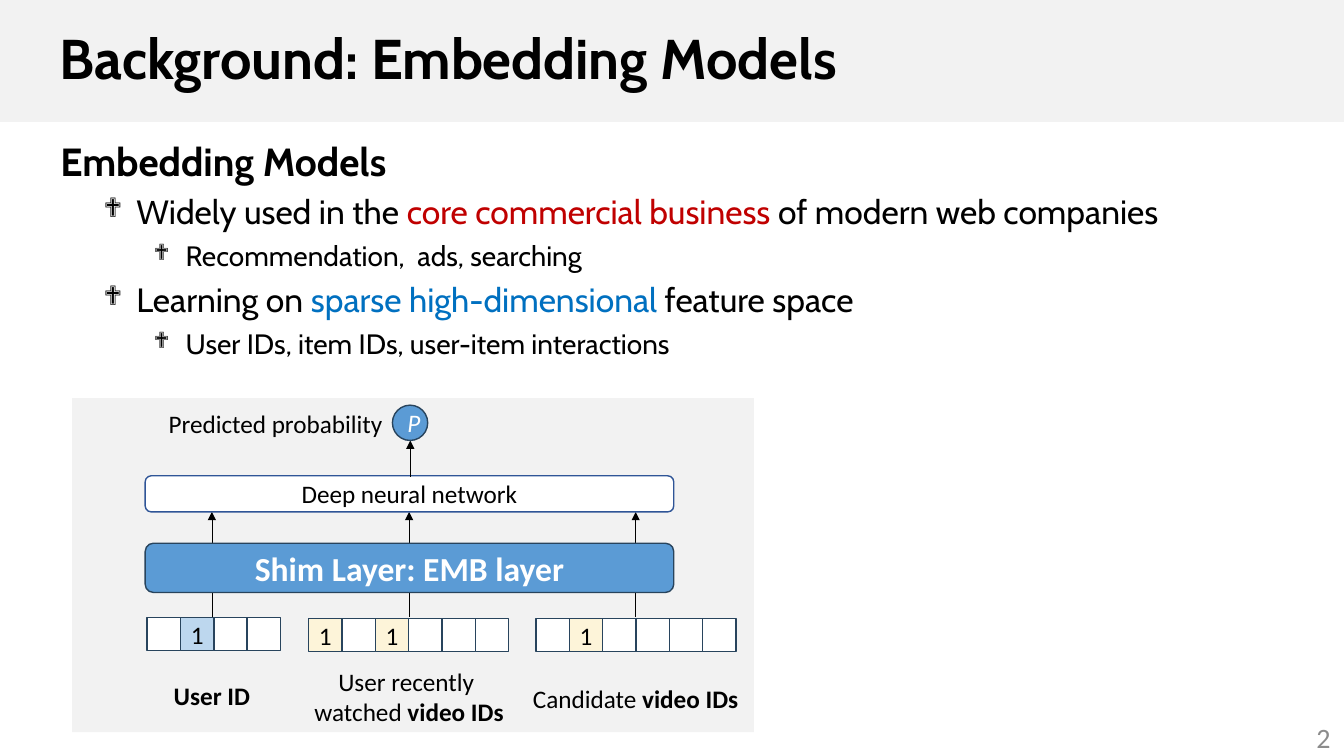
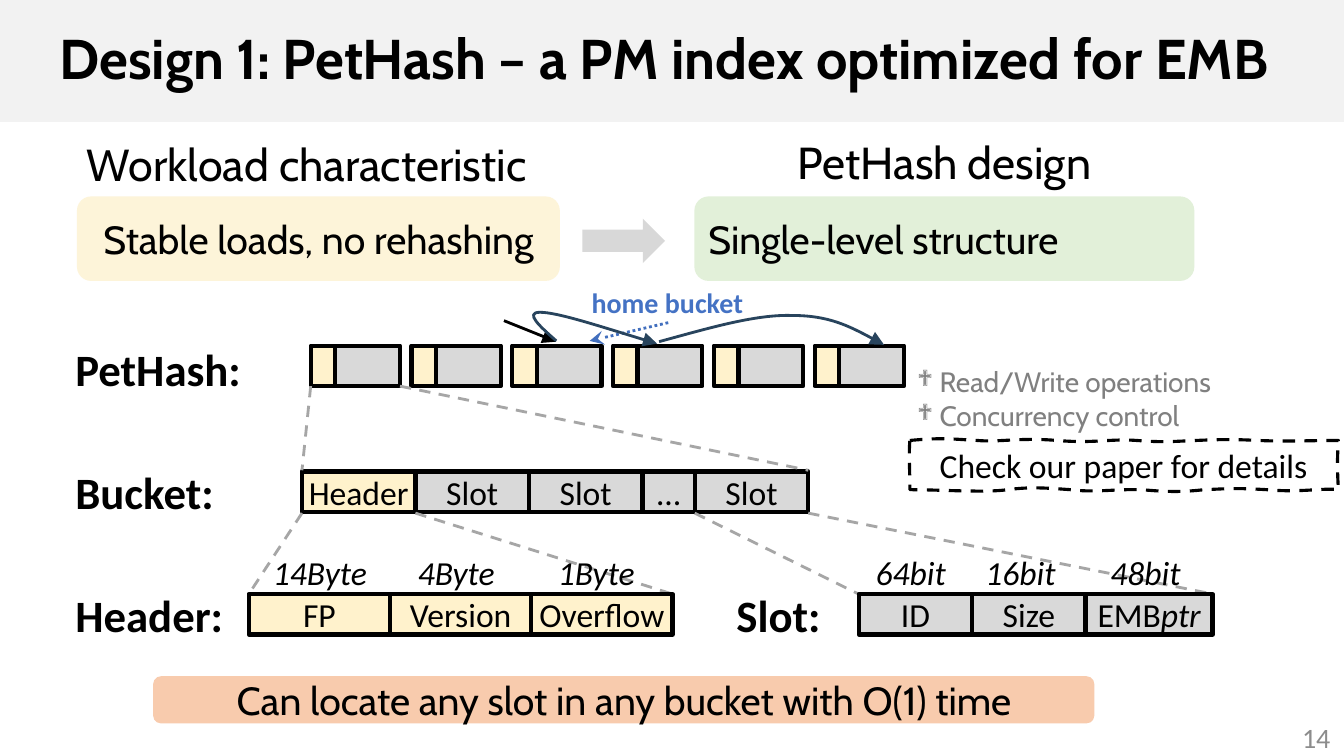
import pptx
import pptx.dml.color
import pptx.enum.dml
import pptx.enum.shapes
import pptx.enum.text
import pptx.oxml.ns
import pptx.util
from lxml import etree

Cm = pptx.util.Cm
Pt = pptx.util.Pt
qn = pptx.oxml.ns.qn
SHAPES = pptx.enum.shapes.MSO_SHAPE
ALIGN = pptx.enum.text.PP_ALIGN
ANCHOR = pptx.enum.text.MSO_ANCHOR
DASH = pptx.enum.dml.MSO_LINE

COLORS = {
    "black": "000000", "white": "FFFFFF", "band": "F2F2F2", "number": "8C8C8C",
    "red": "C00000", "blue": "0070C0", "layer": "5B9BD5", "outline": "28445D",
    "network": "2F5597", "user": "BDD7EE", "cream": "FDF4D9", "key": "FFF2CC",
    "value": "D9D9D9", "green": "E2F0D9", "arrow": "D8D8D8", "peach": "F8CBAD",
    "home": "4472C4", "pointer": "426FBE", "dash": "A6A6A6", "note": "808080",
}
TITLE_FONT = "Cabin"
LABEL_FONT = "Calibri"
WIDTH, HEIGHT = 33.87, 19.05


def color(name):
    return pptx.dml.color.RGBColor.from_string(COLORS[name])


def write(paragraph, text, size, font=LABEL_FONT, ink="black", bold=False, italic=False, align=ALIGN.LEFT):
    paragraph.alignment = align
    paragraph.font.size = Pt(size)
    paragraph.font.name = font
    paragraph.font.bold = bold
    paragraph.font.italic = italic
    paragraph.font.color.rgb = color(ink)
    for part in [text] if isinstance(text, str) else text:
        words, changes = (part, {}) if isinstance(part, str) else part
        run = paragraph.add_run()
        run.text = words
        if "ink" in changes:
            run.font.color.rgb = color(changes["ink"])
        if "bold" in changes:
            run.font.bold = changes["bold"]
        if "italic" in changes:
            run.font.italic = changes["italic"]


def set_indent(paragraph, margin, hanging=0):
    properties = paragraph._p.get_or_add_pPr()
    properties.set("marL", str(Cm(margin)))
    properties.set("indent", str(-Cm(hanging)))


def add_bullet(paragraph):
    defaults = paragraph._p.get_or_add_pPr().find(qn("a:defRPr"))
    for tag, name, value in (("a:buSzPct", "val", "80000"), ("a:buFont", "typeface", "Wingdings"),
                             ("a:buChar", "char", "❖")):
        defaults.addprevious(etree.Element(qn(tag), {name: value}))


def set_frame(frame, horizontal=0.25, vertical=0.13, anchor=ANCHOR.MIDDLE, wrap=True):
    frame.word_wrap = wrap
    frame.margin_left = frame.margin_right = Cm(horizontal)
    frame.margin_top = frame.margin_bottom = Cm(vertical)
    frame.vertical_anchor = anchor


def add_text(slide, box, lines, size, anchor=ANCHOR.TOP, wrap=False, **style):
    frame = slide.shapes.add_textbox(*map(Cm, box)).text_frame
    set_frame(frame, anchor=anchor, wrap=wrap)
    for index, line in enumerate(lines):
        paragraph = frame.add_paragraph() if index else frame.paragraphs[0]
        write(paragraph, line, size, **style)
    return frame


def set_line(shape, ink, width, dash=None):
    shape.line.color.rgb = color(ink)
    shape.line.width = Pt(width)
    if dash:
        shape.line.dash_style = dash


def add_box(slide, box, fill, kind=SHAPES.RECTANGLE, line=None, text=None, size=18, insets=(0, 0), **style):
    shape = slide.shapes.add_shape(kind, *map(Cm, box))
    shape.shadow.inherit = False
    shape.fill.solid()
    shape.fill.fore_color.rgb = color(fill)
    if line:
        set_line(shape, *line)
    else:
        shape.line.fill.background()
    if text:
        set_frame(shape.text_frame, *insets)
        write(shape.text_frame.paragraphs[0], text, size, **{"align": ALIGN.CENTER, **style})
    return shape


def add_head(shape, head, scale):
    etree.SubElement(shape.line._get_or_add_ln(), qn("a:tailEnd"), type=head, w=scale, len=scale)


def add_line(slide, start, end, ink, width, dash=None, head=None, scale="med"):
    connector = slide.shapes.add_connector(
        pptx.enum.shapes.MSO_CONNECTOR.STRAIGHT, *map(Cm, (*start, *end)))
    set_line(connector, ink, width, dash)
    if head:
        add_head(connector, head, scale)
    etree.SubElement(connector._element.spPr, qn("a:effectLst"))


def add_curve(slide, left, top, start, curves, ink, width, dash=None, close=False):
    points = [(Cm(left + x), Cm(top + y)) for curve in curves for x, y in curve]
    builder = slide.shapes.build_freeform(Cm(left + start[0]), Cm(top + start[1]))
    builder.add_line_segments(points, close=close)
    shape = builder.convert_to_shape()
    segments = list(shape._element.iter(qn("a:lnTo")))
    for index in range(0, len(segments), 3):
        curve = etree.Element(qn("a:cubicBezTo"))
        segments[index].addprevious(curve)
        for segment in segments[index:index + 3]:
            curve.append(segment[0])
            segment.getparent().remove(segment)
    shape.shadow.inherit = False
    shape.fill.background()
    set_line(shape, ink, width, dash)
    return shape


def add_slide(presentation, title, number):
    slide = presentation.slides.add_slide(presentation.slide_layouts[6])
    band = add_box(slide, (0, 0, WIDTH, 3.07), "band", text=title, size=40,
                   font=TITLE_FONT, bold=True, align=ALIGN.LEFT)
    band.text_frame.margin_left = Cm(1.5)
    band.text_frame.paragraphs[0].line_spacing = 0.9
    add_text(slide, (26.16, 18.08, 7.62, 1.02), [number], 20, ANCHOR.MIDDLE, True,
             ink="number", align=ALIGN.RIGHT)
    return slide


def add_outline(slide, box):
    items = [
        (28, 1.27, 0, "Embedding Models"),
        (24, 3, 0.64, [" Widely used in the ", ("core commercial business ", {"ink": "red"}),
                       "of modern web companies"]),
        (20, 4.27, 0.64, " Recommendation,  ads, searching"),
        (24, 3, 0.64, [" Learning on ", ("sparse high-dimensional", {"ink": "blue"}), " feature space"]),
        (20, 4.27, 0.64, " User IDs, item IDs, user-item interactions"),
    ]
    frame = add_text(slide, box, [], 24, wrap=True)
    for index, (size, margin, hanging, text) in enumerate(items):
        paragraph = frame.add_paragraph() if index else frame.paragraphs[0]
        write(paragraph, text, size, TITLE_FONT, bold=not hanging)
        paragraph.space_before = Pt(5)
        set_indent(paragraph, margin, hanging)
        if hanging:
            add_bullet(paragraph)


def add_vector(slide, left, top, count, hot, fill):
    cell = 0.84
    for index in range(count):
        marked = index in hot
        add_box(slide, (left + index * cell, top, cell, cell), fill if marked else "white",
                line=("outline", 1), text="1" if marked else None)


def add_model(slide, left, top, width, height):
    add_box(slide, (left, top, width, height), "band")
    video = ("video IDs", {"bold": True})
    inputs = [
        (1.89, 5.53, 4, {1}, "user", 3.52, 6.99, 2.46, 1.02, [[("User ID", {"bold": True})]]),
        (5.96, 5.55, 6, {0, 2}, "cream", 8.49, 6.63, 5.33, 1.8, ["User recently ", ["watched ", video]]),
        (11.69, 5.55, 6, {1}, "cream", 14.2, 7.06, 5.74, 1.02, [["Candidate ", video]]),
    ]
    for x, y, count, hot, fill, center, caption_top, caption_width, caption_height, caption in inputs:
        add_vector(slide, left + x, top + y, count, hot, fill)
        add_text(slide, (left + center - caption_width / 2, top + caption_top, caption_width, caption_height),
                 caption, 18, align=ALIGN.CENTER)
        add_line(slide, (left + center, top + 5.51), (left + center, top + 2.87),
                 "black", 0.5, head="triangle")
    rounded = SHAPES.ROUNDED_RECTANGLE
    add_box(slide, (left + 1.84, top + 1.96, 13.32, 0.91), "white", rounded, ("network", 1),
            "Deep neural network")
    add_box(slide, (left + 1.84, top + 3.66, 13.32, 1.24), "layer", rounded, ("outline", 1),
            "Shim Layer: EMB layer", 24, ink="white", bold=True)
    add_line(slide, (left + 8.52, top + 1.98), (left + 8.52, top + 1.07), "black", 0.5, head="triangle")
    add_box(slide, (left + 8.07, top + 0.18, 0.89, 0.89), "layer", SHAPES.OVAL, ("outline", 1),
            "P", insets=(0.25, 0.13), ink="white", italic=True)
    add_text(slide, (left + 2.18, top + 0.13, 5.97, 1.02), ["Predicted probability"], 18)


def add_card(slide, box, text, fill, align=ALIGN.CENTER):
    add_box(slide, box, fill, SHAPES.ROUNDED_RECTANGLE, text=text, size=28,
            insets=(0.25, 0.1), font=TITLE_FONT, align=align)


def add_comparison(slide, left, top):
    add_text(slide, (left, top, 12.3, 1.63), ["Workload characteristic"], 32, wrap=True, font=TITLE_FONT)
    add_text(slide, (left + 16.52, top - 0.04, 10.69, 1.63), ["PetHash design"], 32, wrap=True,
             font=TITLE_FONT, align=ALIGN.CENTER)
    add_card(slide, (left, top + 1.64, 12.17, 2.13), "Stable loads, no rehashing", "cream")
    add_card(slide, (left + 15.56, top + 1.64, 12.6, 2.13), "Single-level structure", "green", ALIGN.LEFT)
    add_box(slide, (left + 12.74, top + 2.2, 2.08, 1.12), "arrow", SHAPES.RIGHT_ARROW)


def add_hash_table(slide, left, top):
    for index in range(6):
        x = left + index * 2.54
        add_box(slide, (x, top, 0.62, 1.02), "key", line=("black", 3))
        add_box(slide, (x + 0.62, top, 1.63, 1.02), "value", line=("black", 3))
    add_text(slide, (left + 6.83, top - 1.65, 4.37, 1.12), ["home bucket"], 20, ink="home", bold=True)
    add_line(slide, (left + 9.01, top - 0.58), (left + 7.03, top - 0.12), "pointer", 2,
             DASH.ROUND_DOT, "stealth", "lg")
    add_line(slide, (left + 4.87, top - 0.63), (left + 6.19, top - 0.1), "black", 2,
             head="triangle", scale="lg")
    probes = [
        ((6.19, -0.12), [((5.78, -0.48), (5.38, -0.84), (5.78, -0.84)),
                         ((6.22, -0.84), (7.46, -0.43), (8.73, -0.05))]),
        ((8.78, -0.1), [((10, -0.43), (11.19, -0.79), (12.13, -0.76)),
                        ((13.07, -0.76), (13.76, -0.4), (14.45, -0.02))]),
    ]
    for start, curves in probes:
        add_head(add_curve(slide, left, top, start, curves, "outline", 2), "triangle", "lg")
    return left, left + 2.25


def add_fields(slide, left, top, fields):
    edges = [left]
    for text, width, fill, *length in fields:
        add_box(slide, (edges[-1], top, width, 1.02), fill, line=("black", 3), text=text, size=24)
        if length:
            label, label_width, shift = length
            center = edges[-1] + width / 2 + shift
            add_text(slide, (center - label_width / 2, top - 1.18, label_width, 1.27), [label], 24,
                     italic=True)
        edges.append(edges[-1] + width)
    return edges


def add_zoom(slide, source, source_top, target, target_top):
    for start, end in zip(source, target):
        add_line(slide, (start, source_top), (end, target_top), "dash", 2, DASH.DASH)


def add_layout(slide, left, top):
    rows = [("PetHash:", 0, 0, 4.72), ("Bucket:", 0, 3.1, 4.04),
            ("Header:", 0, 6.2, 4.27), ("Slot:", 16.66, 6.2, 2.67)]
    for name, x, y, width in rows:
        add_text(slide, (left + x, top + y, width, 1.63), [name], 32, bold=True)
    table = add_hash_table(slide, left + 6.18, top + 0.23)
    slot = ("Slot", 2.86, "value")
    bucket = add_fields(slide, left + 5.96, top + 3.4, [
        ("Header", 2.86, "key"), slot, slot, ("…", 1.32, "value"), slot])
    target_top = top + 6.49
    header_left, slot_left = left + 4.62, left + 19.99
    add_zoom(slide, table, top + 1.25, (bucket[0], bucket[-1]), top + 3.37)
    add_zoom(slide, bucket[:2], top + 4.45, (header_left, header_left + 10.68), target_top)
    add_zoom(slide, bucket[-2:], top + 4.45, (slot_left, slot_left + 8.93), target_top)
    add_fields(slide, header_left, target_top, [
        ("FP", 3.56, "key", "14Byte", 2.9, 0.03), ("Version", 3.56, "key", "4Byte", 2.46, -0.1),
        ("Overflow", 3.56, "key", "1Byte", 2.46, -0.13)])
    add_fields(slide, slot_left, target_top, [
        ("ID", 2.86, "value", "64bit", 2.29, -0.11), ("Size", 2.86, "value", "16bit", 2.29, -0.2),
        (["EMB", ("ptr", {"italic": True})], 3.2, "value", "48bit", 2.29, -0.08)])


def add_notes_box(slide, left, top):
    frame = add_text(slide, (left, top, 9.65, 1.96), [" Read/Write operations", " Concurrency control"], 20,
                     wrap=True, font=TITLE_FONT, ink="note")
    for paragraph in frame.paragraphs:
        add_bullet(paragraph)
    curves = [
        ((0.84, -0.08), (1.12, -0.03), (1.7, 0)), ((2.29, 0.05), (2.74, -0.08), (3.71, 0)),
        ((4.67, 0.08), (5.03, -0.05), (5.72, 0)), ((6.43, 0.05), (6.5, 0.03), (7.21, 0)),
        ((7.9, -0.03), (8.13, -0.03), (8.79, 0)), ((9.42, 0.03), (10.16, 0), (10.8, 0)),
        ((10.77, 0.41), (10.77, 0.74), (10.8, 1.24)), ((10.39, 1.19), (9.86, 1.32), (8.99, 1.24)),
        ((8.15, 1.19), (7.95, 1.22), (7.42, 1.24)), ((6.88, 1.3), (6.5, 1.3), (5.84, 1.24)),
        ((5.18, 1.22), (4.67, 1.32), (4.04, 1.24)), ((3.38, 1.19), (3, 1.17), (2.46, 1.24)),
        ((1.93, 1.32), (0.76, 1.24), (0, 1.24)), ((0, 0.66), (-0.03, 0.38), (0, 0)),
    ]
    note = add_curve(slide, left + 0.06, top + 2.04, (0, 0), curves, "black", 2.25, DASH.DASH, True)
    set_frame(note.text_frame)
    write(note.text_frame.paragraphs[0], "Check our paper for details", 24, align=ALIGN.CENTER)


def main():
    presentation = pptx.Presentation()
    presentation.slide_width, presentation.slide_height = Cm(WIDTH), Cm(HEIGHT)
    background = add_slide(presentation, "Background: Embedding Models", "2")
    add_outline(background, (0, 3.33, 31.8, 11.15))
    add_model(background, 1.82, 10.03, 17.18, 8.42)
    design = add_slide(presentation, "Design 1: PetHash – a PM index optimized for EMB", "14")
    add_layout(design, 1.65, 8.48)
    add_comparison(design, 1.94, 3.31)
    add_card(design, (3.86, 17.04, 23.72, 1.19), "Can locate any slot in any bucket with O(1) time", "peach")
    add_notes_box(design, 22.87, 9.06)
    presentation.save("out.pptx")


if __name__ == "__main__":
    main()
